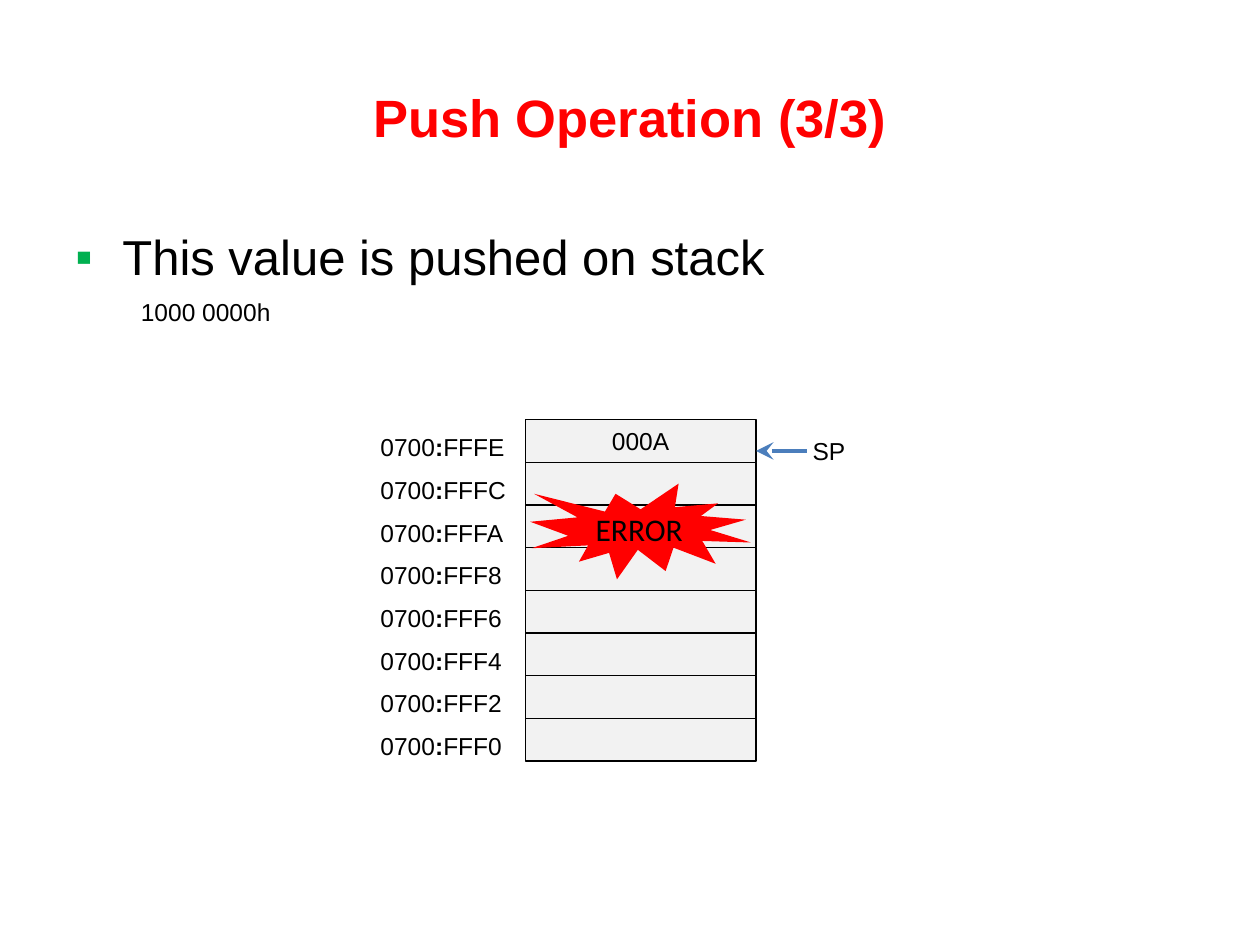
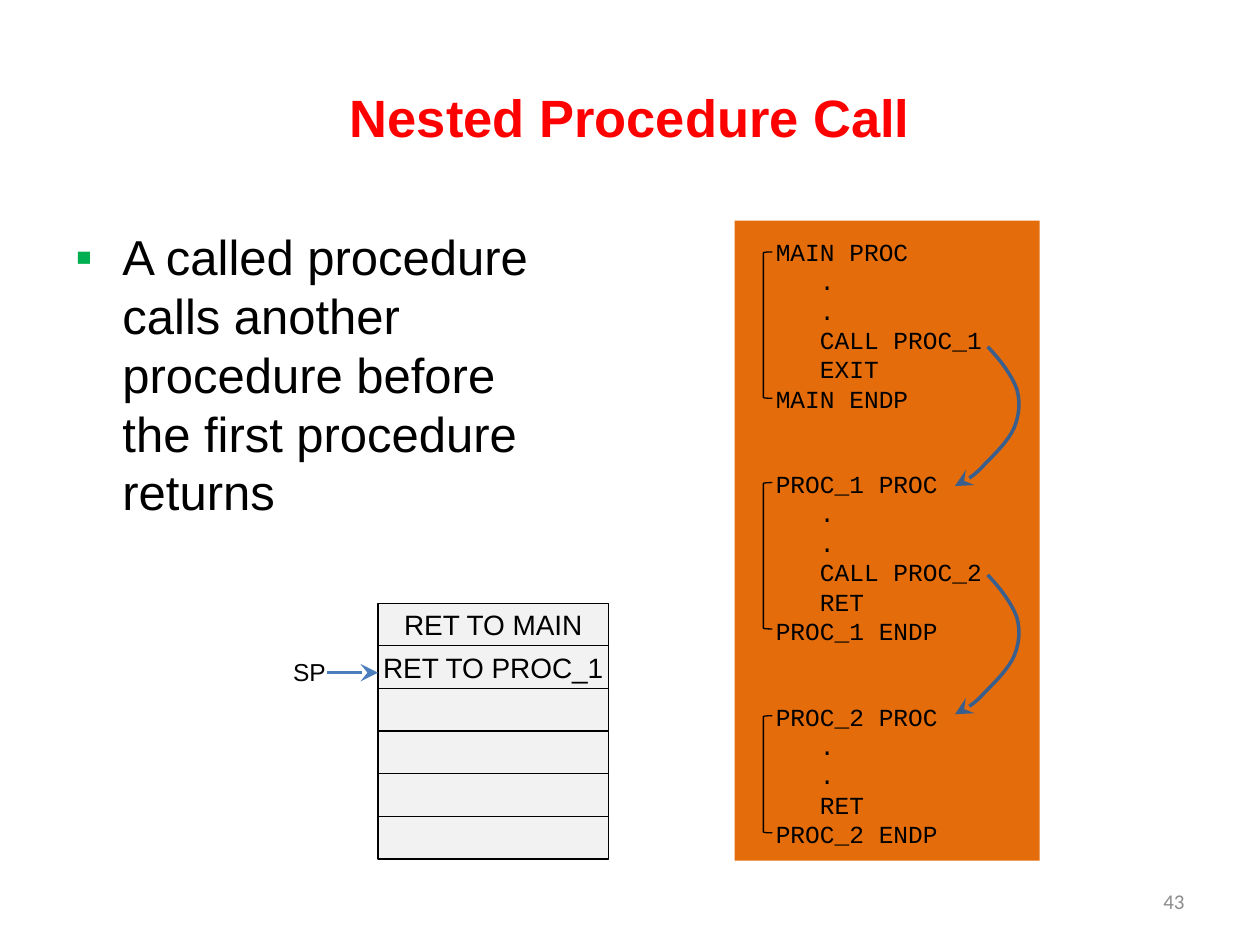
from lxml import etree
from pptx import Presentation
from pptx.dml.color import RGBColor
from pptx.enum.shapes import MSO_CONNECTOR, MSO_SHAPE
from pptx.enum.text import MSO_ANCHOR, PP_ALIGN
from pptx.oxml.ns import qn
from pptx.util import Cm, Pt

RECTANGLE = MSO_SHAPE.RECTANGLE
BURST = MSO_SHAPE.EXPLOSION1
BRACKET = MSO_SHAPE.LEFT_BRACKET
STRAIGHT = MSO_CONNECTOR.STRAIGHT
TOP, MIDDLE = MSO_ANCHOR.TOP, MSO_ANCHOR.MIDDLE
LEFT, CENTER, RIGHT = PP_ALIGN.LEFT, PP_ALIGN.CENTER, PP_ALIGN.RIGHT

COLORS = {
    "title": "FF0000", "text": "000000", "bullet": "00B050", "cell": "F2F2F2",
    "outline": "000000", "error": "FF0000", "code": "E46C0A", "pointer": "4B7EBC",
    "call": "3A5F8C", "number": "8C8C8C",
}

FORMATS = {
    "title": {"size": Pt(30), "name": "Arial", "bold": True},
    "body": {"size": Pt(28), "name": "Arial"},
    "label": {"size": Pt(14), "name": "Arial"},
    "colon": {"size": Pt(14), "name": "Arial", "bold": True},
    "return": {"size": Pt(16), "name": "Arial"},
    "error": {"size": Pt(18), "name": "Calibri"},
    "code": {"size": Pt(14), "name": "Courier New"},
    "number": {"size": Pt(12), "name": "Calibri"},
}

PUSH = {
    "title": "Push Operation (3/3)",
    "body": "This value is pushed on stack",
    "body_width": 22.86,
    "value": "1000 0000h",
    "stack": ["000A"] + [""] * 7,
    "segment": "0700",
    "offsets": ["FFFE", "FFFC", "FFFA", "FFF8", "FFF6", "FFF4", "FFF2", "FFF0"],
    "error": "ERROR",
}

NESTED = {
    "title": "Nested Procedure Call",
    "body": "A called procedure calls another procedure before the first procedure returns",
    "body_width": 9.73,
    "stack": ["RET TO MAIN", "RET TO PROC_1"] + [""] * 4,
    "number": "43",
    "procedures": [
        (4.65, 5.08, ["MAIN PROC", "   .", "   .", "   CALL PROC_1", "   EXIT", "MAIN ENDP"]),
        (9.33, 9.73, ["PROC_1 PROC", "   .", "   .", "   CALL PROC_2", "   RET", "PROC_1 ENDP"]),
        (14.02, 14.43, ["PROC_2 PROC", "   .", "   .", "   RET", "PROC_2 ENDP"]),
    ],
}

CELL_WIDTH, CELL_HEIGHT = 4.65, 0.86
CODE_LEFT = 15.39
CODE_LINE = 0.59
CALL_DISTANCE = 4.6
CALL_START = (19.91, 6.99)
CALL_CURVES = [
    ((20.17, 7.26), (20.4, 7.57), (20.5, 7.85)),
    ((20.57, 8.1), (20.55, 8.36), (20.45, 8.61)),
    ((20.35, 8.86), (20.07, 9.14), (19.86, 9.35)),
    ((19.69, 9.55), (19.51, 9.68), (19.25, 9.8)),
]
CURVE_STEPS = 8


def color(name):
    return RGBColor.from_string(COLORS[name])


def add_runs(paragraph, runs, tint="text", align=LEFT):
    paragraph.alignment = align
    paragraph.line_spacing = Pt(FORMATS[runs[0][1]]["size"].pt * 1.2)
    for text, style in runs:
        run = paragraph.add_run()
        run.text = text
        for attribute, value in FORMATS[style].items():
            setattr(run.font, attribute, value)
        run.font.color.rgb = color(tint)


def add_text(slide, box, lines, tint="text", align=LEFT, anchor=TOP, wrap=True):
    shape = slide.shapes.add_textbox(*map(Cm, box))
    frame = shape.text_frame
    frame.word_wrap = wrap
    frame.vertical_anchor = anchor
    for index, runs in enumerate(lines):
        paragraph = frame.add_paragraph() if index else frame.paragraphs[0]
        add_runs(paragraph, runs, tint, align)
    return shape


def add_shape(slide, kind, box, fill=None, outline=None, text="", style="label"):
    shape = slide.shapes.add_shape(kind, *map(Cm, box))
    shape.shadow.inherit = False
    if fill:
        shape.fill.solid()
        shape.fill.fore_color.rgb = color(fill)
    else:
        shape.fill.background()
    if outline:
        shape.line.color.rgb = color(outline)
        shape.line.width = Pt(0.75)
    else:
        shape.line.fill.background()
    if text:
        frame = shape.text_frame
        frame.word_wrap = False
        frame.vertical_anchor = MIDDLE
        for side in ("left", "top", "right", "bottom"):
            setattr(frame, f"margin_{side}", 0)
        add_runs(frame.paragraphs[0], [(text, style)], align=CENTER)
    return shape


def style_arrow(shape, tint):
    shape.line.color.rgb = color(tint)
    shape.line.width = Pt(2)
    line = shape.line._get_or_add_ln()
    etree.SubElement(line, qn("a:tailEnd"), type="stealth", w="lg", len="lg")


def add_pointer(slide, start, end, y, label_left):
    add_text(slide, (label_left, y - 0.43, 1.17, 0.86), [[("SP", "label")]], wrap=False)
    connector = slide.shapes.add_connector(STRAIGHT, Cm(start), Cm(y), Cm(end), Cm(y))
    style_arrow(connector, "pointer")
    etree.SubElement(connector._element.spPr, qn("a:effectLst"))


def add_stack(slide, left, top, values, style):
    for row, value in enumerate(values):
        box = (left, top + row * CELL_HEIGHT, CELL_WIDTH, CELL_HEIGHT)
        add_shape(slide, RECTANGLE, box, "cell", "outline", value, style)


def curve_points():
    start = CALL_START
    for first, second, end in CALL_CURVES:
        for step in range(1, CURVE_STEPS + 1):
            t = step / CURVE_STEPS
            u = 1 - t
            yield tuple(
                u**3 * a + 3 * u * u * t * b + 3 * u * t * t * c + t**3 * d
                for a, b, c, d in zip(start, first, second, end)
            )
        start = end


def add_call_arrow(slide, shift):
    x, y = CALL_START
    builder = slide.shapes.build_freeform(Cm(x), Cm(y + shift))
    builder.add_line_segments([(Cm(x), Cm(y + shift)) for x, y in curve_points()], close=False)
    arrow = builder.convert_to_shape()
    arrow.shadow.inherit = False
    arrow.fill.background()
    style_arrow(arrow, "call")


def add_slide(presentation, content):
    slide = presentation.slides.add_slide(presentation.slide_layouts[6])
    add_text(slide, (1.27, 0.76, 22.86, 3.18), [[(content["title"], "title")]],
             "title", CENTER, MIDDLE)
    body = add_text(slide, (1.27, 4.45, content["body_width"], 12.57),
                    [[(content["body"], "body")]])
    properties = body.text_frame.paragraphs[0]._p.get_or_add_pPr()
    properties.set("marL", str(Cm(0.95)))
    properties.set("indent", str(-Cm(0.95)))
    bullet_color = etree.SubElement(properties, qn("a:buClr"))
    etree.SubElement(bullet_color, qn("a:srgbClr"), val=COLORS["bullet"])
    etree.SubElement(properties, qn("a:buFont"), typeface="Arial")
    etree.SubElement(properties, qn("a:buChar"), char="▪")
    return slide


def build_push(presentation):
    slide = add_slide(presentation, PUSH)
    add_text(slide, (2.59, 5.86, 3.12, 0.86), [[(PUSH["value"], "label")]], wrap=False)
    add_stack(slide, 10.59, 8.46, PUSH["stack"], "label")
    for row, offset in enumerate(PUSH["offsets"]):
        runs = [(PUSH["segment"], "label"), (":", "colon"), (offset, "label")]
        add_text(slide, (7.42, 8.59 + row * CELL_HEIGHT, 3.15, 0.86), [runs], wrap=False)
    add_shape(slide, BURST, (10.69, 9.75, 4.45, 1.93), "error", text=PUSH["error"], style="error")
    add_pointer(slide, 16.26, 15.24, 9.09, 16.13)


def build_nested(presentation):
    slide = add_slide(presentation, NESTED)
    add_text(slide, (18.21, 17.65, 5.92, 1.02), [[(NESTED["number"], "number")]],
             "number", RIGHT, MIDDLE)
    add_shape(slide, RECTANGLE, (14.81, 4.45, 6.15, 12.9), "code")
    for text_top, bracket_top, lines in NESTED["procedures"]:
        add_text(slide, (CODE_LEFT, text_top, 4.8, len(lines) * CODE_LINE + 0.25),
                 [[(line, "code")] for line in lines], wrap=False)
        bracket = (CODE_LEFT, bracket_top, 0.18, (len(lines) - 1) * CODE_LINE)
        add_shape(slide, BRACKET, bracket, outline="outline")
    for call in range(len(NESTED["procedures"]) - 1):
        add_call_arrow(slide, call * CALL_DISTANCE)
    add_stack(slide, 7.62, 12.16, NESTED["stack"], "return")
    add_pointer(slide, 6.6, 7.62, 13.56, 5.66)


def main():
    presentation = Presentation()
    presentation.slide_width = Cm(25.4)
    presentation.slide_height = Cm(19.05)
    build_push(presentation)
    build_nested(presentation)
    presentation.save("out.pptx")


if __name__ == "__main__":
    main()
